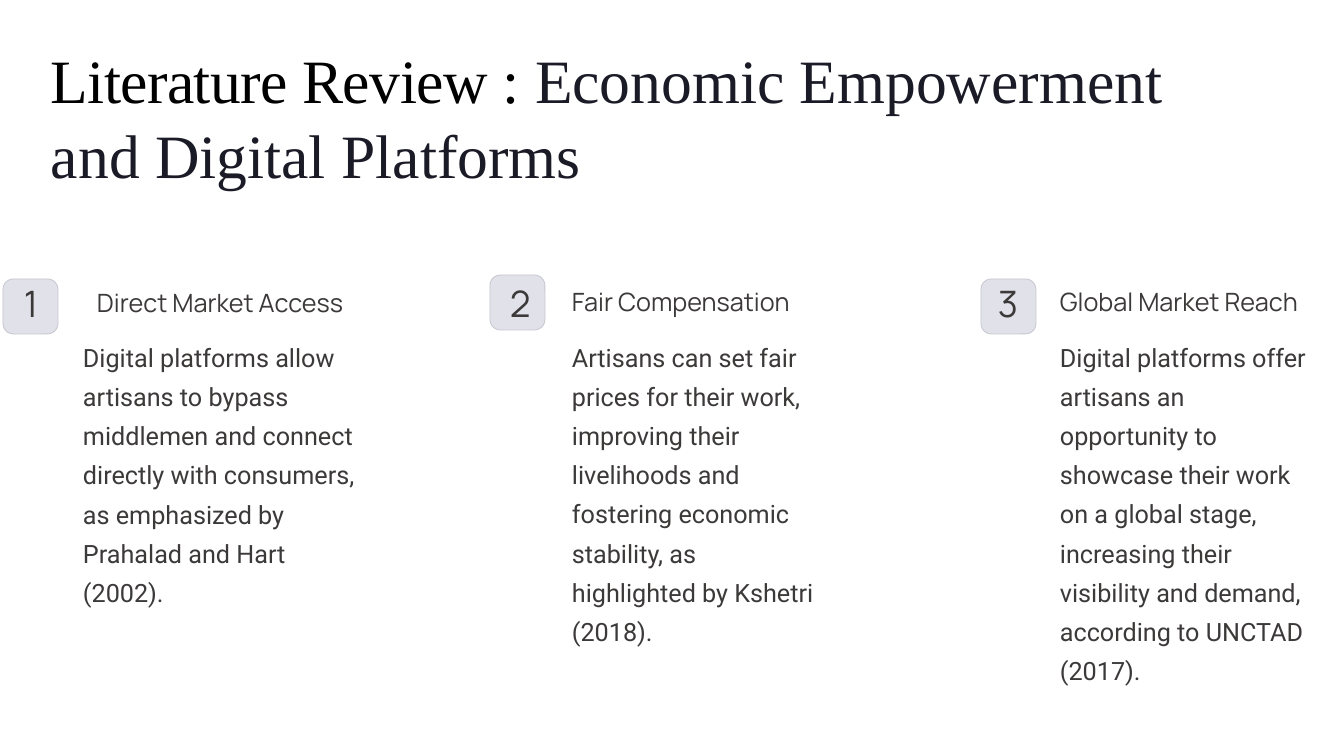
from pptx import Presentation
from pptx.dml.color import RGBColor
from pptx.enum.shapes import MSO_SHAPE
from pptx.enum.text import MSO_ANCHOR, PP_ALIGN
from pptx.util import Pt

PX = 914400 / 100.8  # EMU per pixel

THEME = {
    "black": RGBColor.from_string("000000"),
    "title": RGBColor.from_string("1B1B27"),
    "text": RGBColor.from_string("3C3939"),
    "badge": RGBColor.from_string("E1E1EA"),
    "border": RGBColor.from_string("C7C7D0"),
    "title_font": "Times New Roman",
    "heading_font": "Manrope",
    "body_font": "Roboto",
    "title_size": Pt(44),
    "number_size": Pt(26),
    "text_size": Pt(18),
}


def px(*lengths):
    return [round(length * PX) for length in lengths]


def add_text(box, text, font, size, line_spacing, wrap=True):
    """Add a text box without margins and return its paragraph."""
    frame = slide.shapes.add_textbox(*px(*box)).text_frame
    frame.margin_left = frame.margin_top = frame.margin_right = frame.margin_bottom = 0
    frame.vertical_anchor = MSO_ANCHOR.TOP
    frame.word_wrap = wrap
    paragraph = frame.paragraphs[0]
    paragraph.text = text
    paragraph.line_spacing = Pt(line_spacing)
    paragraph.font.name = THEME[font]
    paragraph.font.size = THEME[size]
    paragraph.font.color.rgb = THEME["text"]
    return paragraph


presentation = Presentation()
presentation.slide_width, presentation.slide_height = px(1344, 756)
slide = presentation.slides.add_slide(presentation.slide_layouts[6])

# Title: two colours, slightly tightened lead-in
title = add_text((51, 42, 1209, 225), "", "title_font", "title_size", 53)
title.space_before = Pt(1.3)
for text, color, spacing in (
    ("Literature ", "black", -50),
    ("Review : ", "black", -30),
    ("Economic Empowerment and Digital Platforms", "title", 0),
):
    run = title.add_run()
    run.text = text
    run.font.color.rgb = THEME[color]
    run._r.get_or_add_rPr().set("spc", str(spacing))

# Columns: badge (left, top), number (left, width), heading (left, top),
# body (left, width, height), heading text, body text
COLUMNS = [
    ((3, 279), (23, 16), (97, 280), (83, 286, 356), "Direct Market Access",
     "Digital platforms allow artisans to bypass middlemen and connect directly "
     "with consumers, as emphasized by Prahalad and Hart (2002)."),
    ((490, 275), (510, 19), (572, 279), (572, 250, 264), "Fair Compensation",
     "Artisans can set fair prices for their work, improving their livelihoods and "
     "fostering economic stability, as highlighted by Kshetri (2018)."),
    ((981, 279), (998, 19), (1060, 279), (1060, 250, 214), "Global Market Reach",
     "Digital platforms offer artisans an opportunity to showcase their work on a "
     "global stage, increasing their visibility and demand, according to UNCTAD (2017)."),
]

for index, (badge_at, number_at, heading_at, body_at, heading, body) in enumerate(COLUMNS, 1):
    # Numbered badge
    badge = slide.shapes.add_shape(MSO_SHAPE.ROUNDED_RECTANGLE, *px(*badge_at, 55, 55))
    badge.adjustments[0] = 0.19
    badge.shadow.inherit = False
    badge.fill.solid()
    badge.fill.fore_color.rgb = THEME["badge"]
    badge.line.color.rgb = THEME["border"]
    badge.line.width = Pt(0.6)

    number_left, number_width = number_at
    number = add_text((number_left, 288, number_width, 36), str(index),
                      "heading_font", "number_size", 26, wrap=False)
    number.alignment = PP_ALIGN.CENTER

    # Heading and body
    add_text((*heading_at, 306, 38), heading, "heading_font", "text_size", 27, wrap=False)
    body_left, body_width, body_height = body_at
    add_text((body_left, 333, body_width, body_height), body, "body_font", "text_size", 28)

presentation.save("out.pptx")
